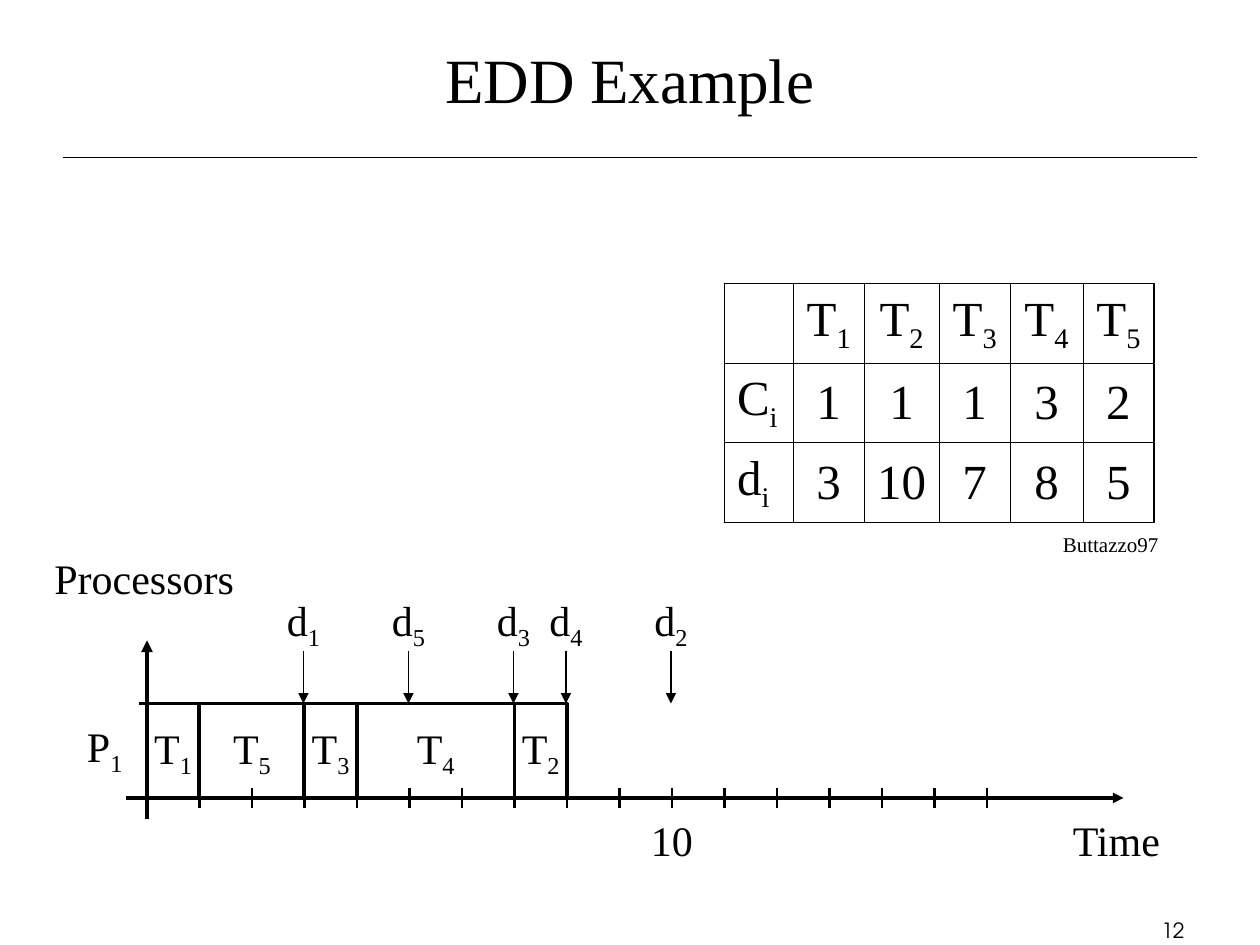
from dataclasses import dataclass
from itertools import accumulate

from lxml.etree import SubElement
from pptx import Presentation
from pptx.dml.color import RGBColor
from pptx.enum.shapes import MSO_CONNECTOR, MSO_SHAPE
from pptx.enum.text import MSO_ANCHOR, MSO_AUTO_SIZE, PP_ALIGN
from pptx.oxml.ns import qn
from pptx.util import Inches, Pt


@dataclass(frozen=True)
class Theme:
    ink: str = "000000"
    serif: str = "Times New Roman"
    sans: str = "TeX Gyre Adventor"
    title: int = 36
    table: int = 28
    label: int = 24
    small: int = 12
    axis: float = 2
    outline: float = 2.25
    tick: float = 1.5
    thin: float = 0.75
    table_frame: float = 1.08
    table_rule: float = 0.45


THEME = Theme()
INK = RGBColor.from_string(THEME.ink)
COLUMNS, ROWS = 24, 18  # one grid cell is also one time unit on the chart
CELL = 10 / COLUMNS
TASKS = {"1": (1, 3), "2": (1, 10), "3": (1, 7), "4": (3, 8), "5": (2, 5)}


def grid(cells):
    return Inches(cells * CELL)


# --- Helpers ---
def write(frame, text, size=THEME.label, font=THEME.serif,
          align=PP_ALIGN.LEFT, anchor=MSO_ANCHOR.TOP, wrap=False):
    """Fill a text frame; the part after an underscore is a subscript."""
    frame.word_wrap = wrap
    frame.vertical_anchor = anchor
    paragraph = frame.paragraphs[0]
    paragraph.alignment = align
    base, _, subscript = text.partition("_")
    for part, offset in ((base, None), (subscript, "-25000")):
        if part:
            run = paragraph.add_run()
            run.text = part
            run.font.size = Pt(size)
            run.font.name = font
            run.font.color.rgb = INK
            if offset:
                run._r.get_or_add_rPr().set("baseline", offset)


def add_text(slide, box, text, **text_format):
    """Add a text box; one that does not wrap grows with its text."""
    frame = slide.shapes.add_textbox(*map(grid, box)).text_frame
    write(frame, text, **text_format)
    if not frame.word_wrap:
        frame.auto_size = MSO_AUTO_SIZE.SHAPE_TO_FIT_TEXT


def add_line(slide, start, end, width, arrow=False):
    line = slide.shapes.add_connector(
        MSO_CONNECTOR.STRAIGHT, *map(grid, (*start, *end)))
    line.line.color.rgb = INK
    line.line.width = Pt(width)
    properties = line._element.spPr
    if arrow:
        SubElement(properties.find(qn("a:ln")), qn("a:tailEnd"), type="triangle")
    SubElement(properties, qn("a:effectLst"))


def set_borders(cell, widths):
    properties = cell._tc.get_or_add_tcPr()
    for index, (side, width) in enumerate(widths.items()):
        line = SubElement(properties, qn(f"a:ln{side}"), w=str(Pt(width)))
        fill = SubElement(line, qn("a:solidFill"))
        SubElement(fill, qn("a:srgbClr"), val=THEME.ink)
        properties.insert(index, line)


# --- Regions ---
def add_header(slide, box):
    left, top, width, height = box
    add_text(slide, (left + 0.6, top, width - 1.2, height), "EDD Example",
             size=THEME.title, align=PP_ALIGN.CENTER,
             anchor=MSO_ANCHOR.MIDDLE, wrap=True)
    bottom = top + height
    add_line(slide, (left, bottom), (left + width, bottom), THEME.thin)


def add_task_table(slide, box):
    left, top, width, height = box
    rows = [
        ["", *(f"T_{name}" for name in TASKS)],
        ["C_i", *(str(cost) for cost, _ in TASKS.values())],
        ["d_i", *(str(deadline) for _, deadline in TASKS.values())],
    ]
    shares = (0.16, 0.165, 0.175, 0.165, 0.17, 0.165)
    table = slide.shapes.add_table(
        len(rows), len(shares), *map(grid, box)).table
    table.first_row = table.horz_banding = False
    for column, share in zip(table.columns, shares):
        column.width = grid(width * share)
    last_row, last_column = len(rows) - 1, len(shares) - 1
    for r, values in enumerate(rows):
        for c, value in enumerate(values):
            cell = table.cell(r, c)
            cell.fill.background()
            cell.vertical_anchor = MSO_ANCHOR.MIDDLE
            write(cell.text_frame, value, size=THEME.table,
                  align=PP_ALIGN.CENTER if c else PP_ALIGN.LEFT,
                  anchor=MSO_ANCHOR.MIDDLE, wrap=True)
            on_frame = {"L": c == 0, "R": c == last_column,
                        "T": r == 0, "B": r == last_row}
            set_borders(cell, {
                side: THEME.table_frame if outer else THEME.table_rule
                for side, outer in on_frame.items()})
    # Source of the example
    add_text(slide, (left + width - 1.97, top + height + 0.05, 2.3, 0.72),
             "Buttazzo97", size=THEME.small)


def add_schedule(slide, box):
    """Time starts at the left of the box, and its bottom is the time axis."""
    left, top, width, height = box
    base = top + height
    block_top = base - 1.8

    # Axes and their labels
    add_line(slide, (left - 0.4, base), (left + width, base), THEME.axis, arrow=True)
    add_line(slide, (left, base + 0.4), (left, top), THEME.outline, arrow=True)
    add_line(slide, (left - 0.16, block_top), (left + 0.24, block_top), THEME.tick)
    add_text(slide, (left - 2, top - 1.8, 3.9, 1.2), "Processors")
    add_text(slide, (left - 1.38, block_top + 0.2, 1.15, 1.34), "P_1")
    add_text(slide, (left + width - 1.2, base + 0.2, 2.16, 1.2), "Time")
    add_text(slide, (left + 9.35, base + 0.2, 1.3, 1.2), "10",
             align=PP_ALIGN.CENTER)
    for time in range(1, 17):
        add_line(slide, (left + time, base - 0.2),
                 (left + time, base + 0.2), THEME.tick)

    # Tasks run in order of earliest due date
    order = sorted(TASKS, key=lambda name: TASKS[name][1])
    starts = accumulate((TASKS[name][0] for name in order), initial=0)
    for name, start in zip(order, starts):
        cost, deadline = TASKS[name]
        block = slide.shapes.add_shape(
            MSO_SHAPE.RECTANGLE,
            *map(grid, (left + start, block_top, cost, 1.8)))
        block.shadow.inherit = False
        block.fill.background()
        block.line.color.rgb = INK
        block.line.width = Pt(THEME.outline)
        write(block.text_frame, f"T_{name}", align=PP_ALIGN.CENTER,
              anchor=MSO_ANCHOR.MIDDLE)

        # Deadline arrow
        due = left + deadline - 0.02
        add_line(slide, (due, block_top - 1), (due, block_top),
                 THEME.thin, arrow=True)
        add_text(slide, (due - 0.6, block_top - 2.2, 1.2, 1.34),
                 f"d_{name}", align=PP_ALIGN.CENTER)


def add_page_number(slide, box):
    add_text(slide, box, "12", size=THEME.small, font=THEME.sans,
             align=PP_ALIGN.RIGHT, wrap=True)


def main():
    presentation = Presentation()
    presentation.slide_width = grid(COLUMNS)
    presentation.slide_height = grid(ROWS)
    slide = presentation.slides.add_slide(presentation.slide_layouts[6])
    add_header(slide, (1.2, 0, 21.6, 3))
    add_task_table(slide, (13.8, 5.4, 8.18, 4.55))
    add_schedule(slide, (2.8, 12.2, 18.6, 3))
    add_page_number(slide, (17.8, 17.35, 5, 0.6))
    presentation.save("out.pptx")


if __name__ == "__main__":
    main()
